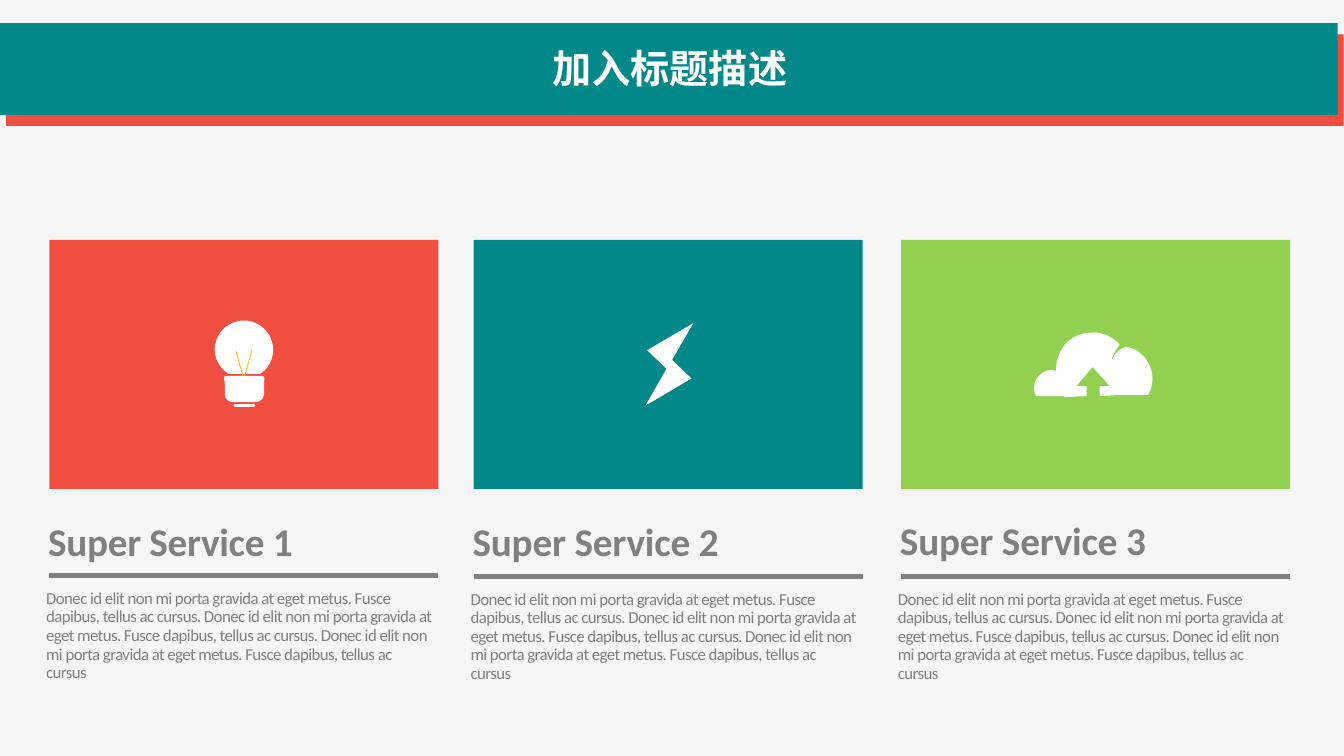
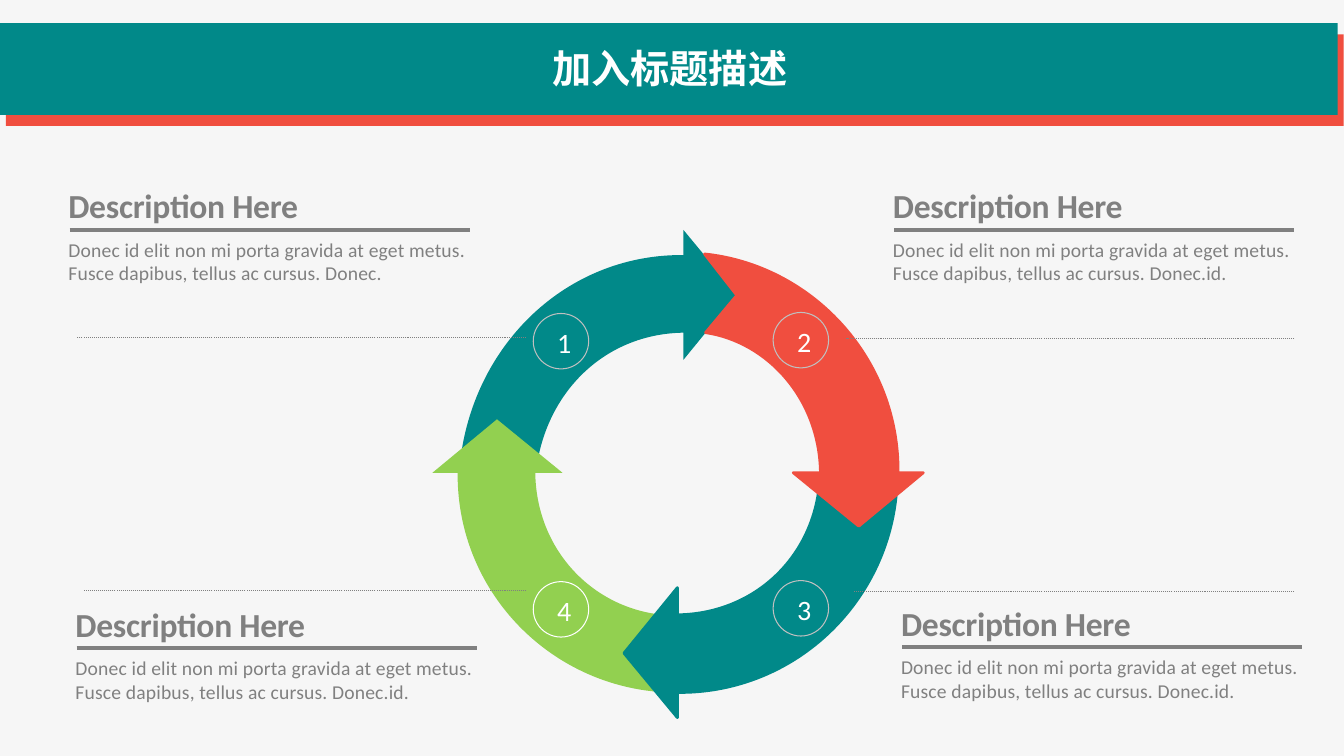
from dataclasses import dataclass

from lxml import etree
from pptx import Presentation
from pptx.dml.color import RGBColor
from pptx.enum.dml import MSO_LINE
from pptx.enum.shapes import MSO_CONNECTOR, MSO_SHAPE
from pptx.enum.text import PP_ALIGN
from pptx.oxml.ns import qn
from pptx.util import Emu, Pt

RECTANGLE = MSO_SHAPE.RECTANGLE
TRIANGLE = MSO_SHAPE.ISOSCELES_TRIANGLE
OVAL = MSO_SHAPE.OVAL
STRAIGHT = MSO_CONNECTOR.STRAIGHT
DOTTED = MSO_LINE.ROUND_DOT
LEFT, CENTER = PP_ALIGN.LEFT, PP_ALIGN.CENTER

# Grid: square cells, 40/3 columns by 7.5 rows
CELL = 914400
COLUMNS, ROWS = 40 / 3, 7.5


@dataclass(frozen=True)
class Theme:
    background: str = "F6F6F6"
    teal: str = "018989"
    red: str = "F04E3F"
    green: str = "92D050"
    white: str = "FFFFFF"
    gray: str = "808080"
    silver: str = "C0C0C0"
    filament: str = "F8C937"
    font: str = "Calibri"
    title_font: str = "Noto Sans CJK SC"
    heading_size: int = 28
    subheading_size: int = 24
    number_size: int = 20
    text_size: int = 14
    small_size: int = 12
    rule: float = 3
    outline: float = 2
    hairline: float = 0.75


THEME = Theme()
SENTENCE = "Donec id elit non mi porta gravida at eget metus. Fusce dapibus, tellus ac cursus"


def cells(count):
    return Emu(round(count * CELL))


def color(value):
    return RGBColor.from_string(value)


class Deck:
    def __init__(self, theme):
        self.theme = theme
        self.presentation = Presentation()
        self.presentation.slide_width = cells(COLUMNS)
        self.presentation.slide_height = cells(ROWS)
        self.slide = None

    def new_slide(self, title):
        theme = self.theme
        self.slide = self.presentation.slides.add_slide(self.presentation.slide_layouts[6])
        fill = self.slide.background.fill
        fill.solid()
        fill.fore_color.rgb = color(theme.background)
        # Title band with its offset backing
        self.shape(RECTANGLE, 0.06, 0.34, 13.27, 0.91, theme.red)
        self.shape(RECTANGLE, 0, 0.23, 13.27, 0.91, theme.teal)
        self.text(title, 0, 0.39, 13.29, 0.64, theme.heading_size, theme.white,
                  bold=True, align=CENTER, font=theme.title_font)

    def paint(self, shape, fill, line, width):
        shape.shadow.inherit = False
        if fill:
            shape.fill.solid()
            shape.fill.fore_color.rgb = color(fill)
        else:
            shape.fill.background()
        if line:
            shape.line.color.rgb = color(line)
            shape.line.width = Pt(width)
        else:
            shape.line.fill.background()
        return shape

    def shape(self, kind, left, top, width, height, fill=None, line=None):
        shape = self.slide.shapes.add_shape(
            kind, cells(left), cells(top), cells(width), cells(height))
        return self.paint(shape, fill, line, self.theme.hairline)

    def outline(self, start, steps, fill, line=None):
        """A closed outline; a step is a corner (x, y) or a Bezier curve of six numbers."""
        builder = self.slide.shapes.build_freeform(*map(cells, start), scale=1.0)
        builder.add_line_segments([tuple(map(cells, step[-2:])) for step in steps])
        shape = builder.convert_to_shape()
        path = next(shape._element.iter(qn("a:path")))
        for segment, step in zip(path.findall(qn("a:lnTo")), steps):
            if len(step) == 2:
                continue
            curve = etree.Element(qn("a:cubicBezTo"))
            for x, y in zip(step[::2], step[1::2]):
                point = etree.SubElement(curve, qn("a:pt"))
                point.set("x", str(cells(x) - shape.left))
                point.set("y", str(cells(y) - shape.top))
            path.replace(segment, curve)
        etree.SubElement(path, qn("a:close"))
        return self.paint(shape, fill, line, self.theme.outline)

    def line(self, start, end, stroke, width, dash=None, cap=None):
        connector = self.slide.shapes.add_connector(
            STRAIGHT, *(cells(value) for value in (*start, *end)))
        connector.line.color.rgb = color(stroke)
        connector.line.width = Pt(width)
        if dash:
            connector.line.dash_style = dash
        properties = connector._element.spPr
        if cap:
            properties.find(qn("a:ln")).set("cap", cap)
        etree.SubElement(properties, qn("a:effectLst"))

    def text(self, words, left, top, width, height, size, ink, bold=False,
             align=LEFT, font=None, tracking=0, line_spacing=None):
        box = self.slide.shapes.add_textbox(
            cells(left), cells(top), cells(width), cells(height))
        box.text_frame.word_wrap = True
        paragraph = box.text_frame.paragraphs[0]
        paragraph.alignment = align
        if line_spacing:
            paragraph.line_spacing = line_spacing
        run = paragraph.add_run()
        run.text = words
        run.font.size = Pt(size)
        run.font.bold = bold
        run.font.color.rgb = color(ink)
        run.font.name = font or self.theme.font
        properties = run._r.get_or_add_rPr()
        etree.SubElement(properties, qn("a:ea")).set("typeface", run.font.name)
        if tracking:
            properties.set("spc", str(round(tracking * 100)))

    def service(self, left, heading_top, rule_top, heading, tracking, body, fill):
        theme = self.theme
        self.shape(RECTANGLE, left, 2.38, 3.86, 2.47, fill)
        self.text(heading, left - 0.11, heading_top, 2.97, 0.57, theme.heading_size,
                  theme.gray, bold=True, tracking=tracking)
        self.line((left, rule_top), (left + 3.86, rule_top), theme.gray, theme.rule)
        self.text(body, left - 0.13, rule_top + 0.09, 4.06, 1.03, theme.small_size,
                  theme.gray, tracking=-0.4, line_spacing=0.92)

    def description(self, left, top, heading, body):
        theme = self.theme
        self.text(heading, left, top, 2.75, 0.5, theme.subheading_size,
                  theme.gray, bold=True, tracking=-0.2)
        self.line((left + 0.11, top + 0.49), (left + 4.08, top + 0.49),
                  theme.gray, theme.rule)
        self.text(body, left, top + 0.52, 4.19, 0.57, theme.text_size,
                  theme.gray, tracking=0.1)

    def number(self, left, top, label, ring):
        theme = self.theme
        self.shape(OVAL, left, top, 0.55, 0.55, line=ring)
        self.text(label, left + 0.14, top + 0.07, 0.26, 0.44, theme.number_size,
                  theme.white, align=CENTER)

    def ring_arrow(self, center, turns, fill, tail, line=None):
        """A quarter ring pointing down, turned clockwise by quarters about the ring's center.

        The tail lists its outer corner, its inner corner and, if any, its notch.
        """
        outer_corner, inner_corner, *notch = tail
        steps = [(1.31, -2.02, 2.17, -1.12, 2.18, 0), (2.18, 0.04), (2.43, 0.04),
                 (1.79, 0.57), (1.14, 0.04), (1.41, 0.04),
                 (1.4, -0.7, 0.88, -1.26, *inner_corner), *notch]
        shape = self.outline(outer_corner, steps, fill, line)
        x, y = shape.left + shape.width / 2, shape.top + shape.height / 2
        for _ in range(turns):
            x, y = -y, x
        shape.left = cells(center[0]) + round(x - shape.width / 2)
        shape.top = cells(center[1]) + round(y - shape.height / 2)
        shape.rotation = 90 * turns

    # Icons
    def bulb(self):
        theme = self.theme
        self.outline((2.42, 3.18),
                     [(2.58, 3.18, 2.71, 3.31, 2.71, 3.47),
                      (2.71, 3.57, 2.66, 3.66, 2.58, 3.71), (2.27, 3.71),
                      (2.19, 3.66, 2.13, 3.57, 2.13, 3.47),
                      (2.13, 3.31, 2.26, 3.18, 2.42, 3.18)], theme.white)
        for tip in ((2.34, 3.48), (2.5, 3.47)):
            self.line((2.42, 3.76), tip, theme.filament, theme.hairline)
        self.outline((2.23, 3.8),
                     [(2.23, 3.76, 2.2, 3.73, 2.25, 3.73), (2.59, 3.73),
                      (2.64, 3.73, 2.62, 3.76, 2.62, 3.8), (2.62, 3.91),
                      (2.62, 3.95, 2.58, 3.99, 2.54, 3.99), (2.31, 3.99),
                      (2.26, 3.99, 2.23, 3.95, 2.23, 3.91), (2.23, 3.8)], theme.white)
        self.line((2.33, 4.02), (2.52, 4.02), theme.white, theme.outline, cap="rnd")

    def bolt(self):
        for left, top, angle in ((6.56, 3.13, 44.1), (6.45, 3.59, 224)):
            half = self.shape(TRIANGLE, left, top, 0.27, 0.51, self.theme.white)
            half.adjustments[0] = 0.525
            half.rotation = angle

    def cloud(self):
        self.outline((10.83, 3.3),
                     [(10.92, 3.29, 11.02, 3.33, 11.1, 3.41), (11.11, 3.42),
                      (11.07, 3.46, 11.05, 3.51, 11.03, 3.56), (11.04, 3.56),
                      (11.06, 3.5, 11.11, 3.46, 11.17, 3.44),
                      (11.23, 3.45, 11.28, 3.47, 11.32, 3.51),
                      (11.44, 3.61, 11.47, 3.79, 11.39, 3.92),
                      (11.08, 3.92), (10.91, 3.93), (10.91, 3.83), (11.01, 3.83),
                      (10.84, 3.64), (10.68, 3.83), (10.78, 3.83), (10.78, 3.93),
                      (10.56, 3.94), (10.56, 3.93), (10.28, 3.93),
                      (10.26, 3.91, 10.26, 3.88, 10.26, 3.85),
                      (10.26, 3.75, 10.34, 3.67, 10.44, 3.67), (10.48, 3.68),
                      (10.47, 3.58, 10.51, 3.49, 10.57, 3.41),
                      (10.64, 3.34, 10.73, 3.3, 10.83, 3.3)], self.theme.white)


def services_slide(deck):
    deck.new_slide("加入标题描述")
    body = ". ".join([SENTENCE] * 3)
    for left, heading_top, rule_top, heading, tracking, fill in (
            (0.49, 5.08, 5.71, "Super Service 1", -0.2, THEME.red),
            (4.7, 5.08, 5.72, "Super Service 2", -0.1, THEME.teal),
            (8.94, 5.07, 5.72, "Super Service 3", -0.1, THEME.green)):
        deck.service(left, heading_top, rule_top, heading, tracking, body, fill)
    deck.bulb()
    deck.bolt()
    deck.cloud()


def cycle_slide(deck):
    deck.new_slide("加入标题描述")
    # Descriptions in the four corners
    for left, top, ending in ((0.58, 1.79, "Donec."), (0.65, 5.94, "Donec.id."),
                              (8.84, 5.93, "Donec.id."), (8.76, 1.79, "Donec.id.")):
        deck.description(left, top, "Description Here", f"{SENTENCE}. {ending}")
    # Ring of arrows, each head meeting the tail of the next one
    deck.ring_arrow((6.74, 4.71), 3, THEME.teal, [(0.17, -2.17), (0.17, -1.4)])
    deck.ring_arrow((6.72, 4.73), 2, THEME.green,
                    [(0.23, -2.13), (0.22, -1.36), (0.54, -1.75)])
    deck.ring_arrow((6.76, 4.69), 1, THEME.teal,
                    [(0.23, -2.13), (0.19, -1.36), (0.52, -1.77)], THEME.teal)
    deck.ring_arrow((6.73, 4.65), 0, THEME.red,
                    [(0.26, -2.13), (0.27, -1.35), (0.58, -1.72)], THEME.red)
    # Numbers on the ring
    for label, left, top, ring in (("3", 7.67, 5.76, THEME.silver),
                                   ("2", 7.67, 3.1, THEME.silver),
                                   ("4", 5.29, 5.77, THEME.white),
                                   ("1", 5.29, 3.11, THEME.silver)):
        deck.number(left, top, label, ring)
    # Dotted leaders
    for start, end, row in ((5.22, 0.76, 3.35), (5.22, 0.83, 5.86),
                            (12.84, 8.39, 3.36), (12.84, 8.46, 5.87)):
        deck.line((start, row), (end, row), THEME.gray, THEME.hairline, DOTTED)


def main():
    deck = Deck(THEME)
    services_slide(deck)
    cycle_slide(deck)
    deck.presentation.save("out.pptx")


if __name__ == "__main__":
    main()
